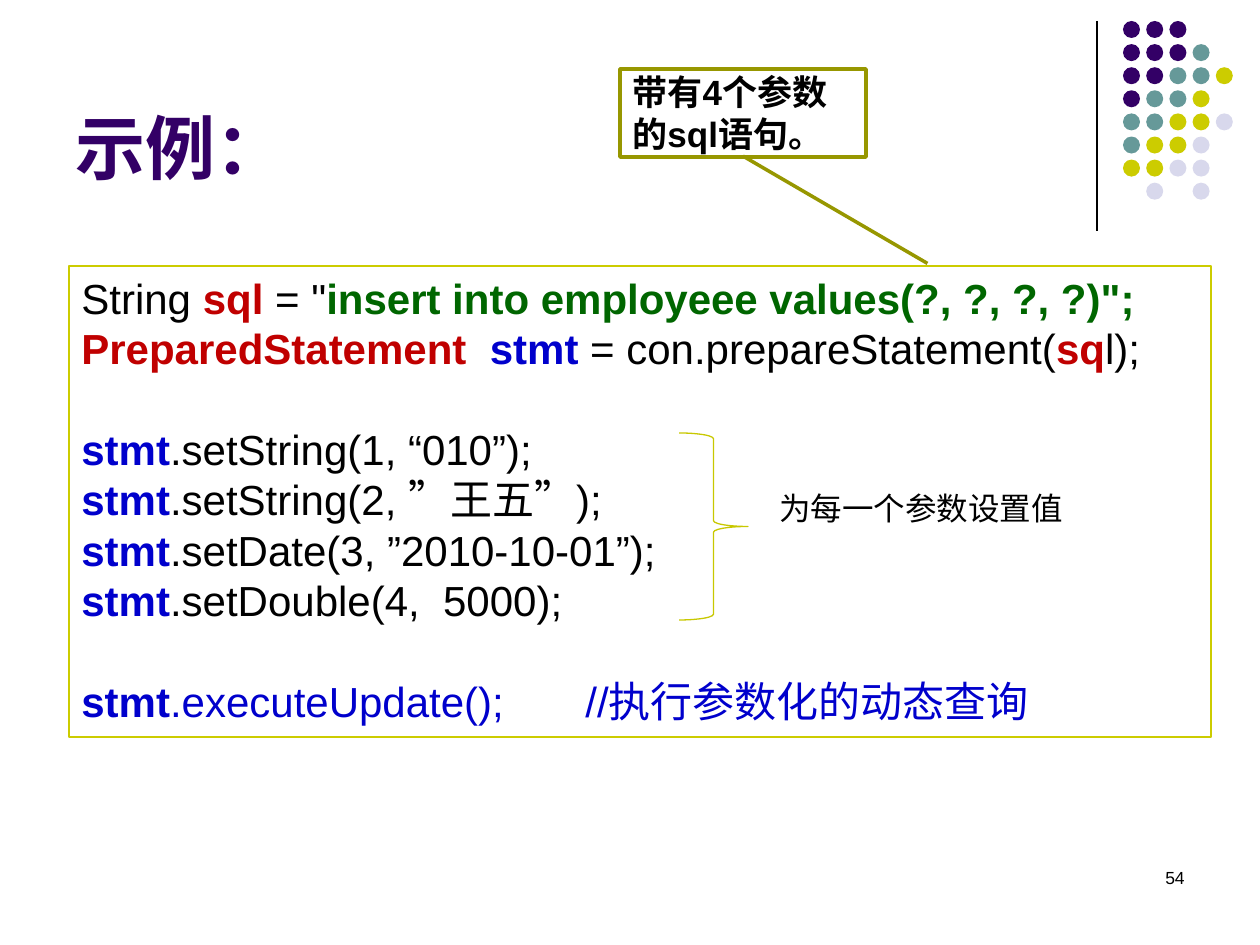
from pptx import Presentation
from pptx.dml.color import RGBColor
from pptx.enum.shapes import MSO_CONNECTOR, MSO_SHAPE
from pptx.enum.text import MSO_ANCHOR, PP_ALIGN
from pptx.oxml.ns import qn
from pptx.util import Emu, Pt
from lxml.etree import SubElement


def px(n):
    return Emu(round(n * 914400 / 126))


def rgb(color):
    return RGBColor.from_string(color)


class Deck:
    font = "Arial"
    black, purple, teal, olive, pale = "000000", "330066", "669999", "CCCC00", "D8D8EC"
    red, blue, green = "C00000", "0000CC", "006600"

    def __init__(self, slide):
        self.s = slide

    def shape(self, kind, box, fill=None, line=None, width=0.75):
        sp = self.s.shapes.add_shape(kind, *map(px, box))
        sp.shadow.inherit = False
        if fill:
            sp.fill.solid()
            sp.fill.fore_color.rgb = rgb(fill)
        else:
            sp.fill.background()
        if line:
            sp.line.color.rgb = rgb(line)
            sp.line.width = Pt(width)
        else:
            sp.line.fill.background()
        return sp

    def line(self, x1, y1, x2, y2, color, width=0.75):
        cx = self.s.shapes.add_connector(MSO_CONNECTOR.STRAIGHT, *map(px, (x1, y1, x2, y2)))
        cx.line.color.rgb = rgb(color)
        cx.line.width = Pt(width)
        SubElement(cx._element.spPr, qn("a:effectLst"))

    def fill_text(self, sp, paragraphs, size, anchor=MSO_ANCHOR.TOP, wrap=True, **para):
        """Each paragraph is a list of (text, colour, bold) runs."""
        tf = sp.text_frame
        tf.word_wrap, tf.vertical_anchor = wrap, anchor
        for i, runs in enumerate(paragraphs):
            p = tf.paragraphs[0] if i == 0 else tf.add_paragraph()
            for key, value in {"alignment": PP_ALIGN.LEFT, **para}.items():
                setattr(p, key, value)
            for text, color, bold in runs:
                r = p.add_run()
                r.text = text
                for key, value in {"name": self.font, "size": Pt(size), "bold": bold}.items():
                    setattr(r.font, key, value)
                r.font.color.rgb = rgb(color)
        return tf

    def text(self, box, text, size, color=black, bold=False, **fmt):
        sp = self.s.shapes.add_textbox(*map(px, box))
        self.fill_text(sp, [[(text, color, bold)]], size, **fmt)


prs = Presentation()
prs.slide_width, prs.slide_height = px(1260), px(945)
d = Deck(prs.slides.add_slide(prs.slide_layouts[6]))

# Corner ornament: one letter per dot colour
d.line(1097, 21, 1097, 231, d.black)
dot_colors = {"p": d.purple, "t": d.teal, "o": d.olive, "l": d.pale}
dot_rows = ["ppp", "pppt", "pptto", "ptto", "ttool", "tool", "ooll", ".l.l"]
for row, letters in enumerate(dot_rows):
    for col, letter in enumerate(letters):
        if letter in dot_colors:
            d.shape(MSO_SHAPE.OVAL, (1123 + 23.2 * col, 21 + 23.1 * row, 17, 17),
                    dot_colors[letter])

# Title and slide number
d.text((63, 16, 1040, 179), "示例：", 40, d.purple, True, anchor=MSO_ANCHOR.BOTTOM)
d.text((903, 861, 294, 63), "54", 10, alignment=PP_ALIGN.RIGHT)

# Code listing
PITCH = Pt(28.8)


def call(code, color=d.black):
    return [("stmt", d.blue, True), (code, color, False)]


code = [
    [("String\u00a0", d.black, False), ("sql\u00a0", d.red, True), ("=\u00a0\"", d.black, False),
     ("insert\u00a0into\u00a0employeee\u00a0values(?, ?, ?, ?)\";", d.green, True)],
    [("PreparedStatement \u00a0", d.red, True), ("stmt", d.blue, True),
     ("\u00a0=\u00a0con.prepareStatement(", d.black, False), ("sq", d.red, True),
     ("l);", d.black, False)],
    call(".setString(1, “010”);"),
    call(".setString(2,\u00a0”王五”);"),
    call(".setDate(3,\u00a0”2010-10-01”);"),
    call(".setDouble(4, \u00a05000);"),
    call(".executeUpdate();\u00a0\u00a0\t//执行参数化的动态查询", d.blue),
]
listing = d.shape(MSO_SHAPE.RECTANGLE, (69, 266, 1142, 471), line=d.olive)
tf = d.fill_text(listing, code, 24, line_spacing=PITCH)
for first_of_group in (2, 6):
    tf.paragraphs[first_of_group].space_before = PITCH

# Brace with its note
d.shape(MSO_SHAPE.RIGHT_BRACE, (679, 433, 69, 187), line="C8C800")
d.text((767, 483, 311, 50), "为每一个参数设置值", 18, wrap=False)

# Callout pointing at the statement
callout = d.shape(MSO_SHAPE.LINE_CALLOUT_1, (620, 69, 246, 88), "FFFFFF", "979700", 2)
for i, value in enumerate((0.99, 0.5, 2.21, 1.25)):
    callout.adjustments[i] = value
d.fill_text(callout, [[("带有4个参数的sql语句。", d.black, True)]], 20, MSO_ANCHOR.MIDDLE)

prs.save("out.pptx")
